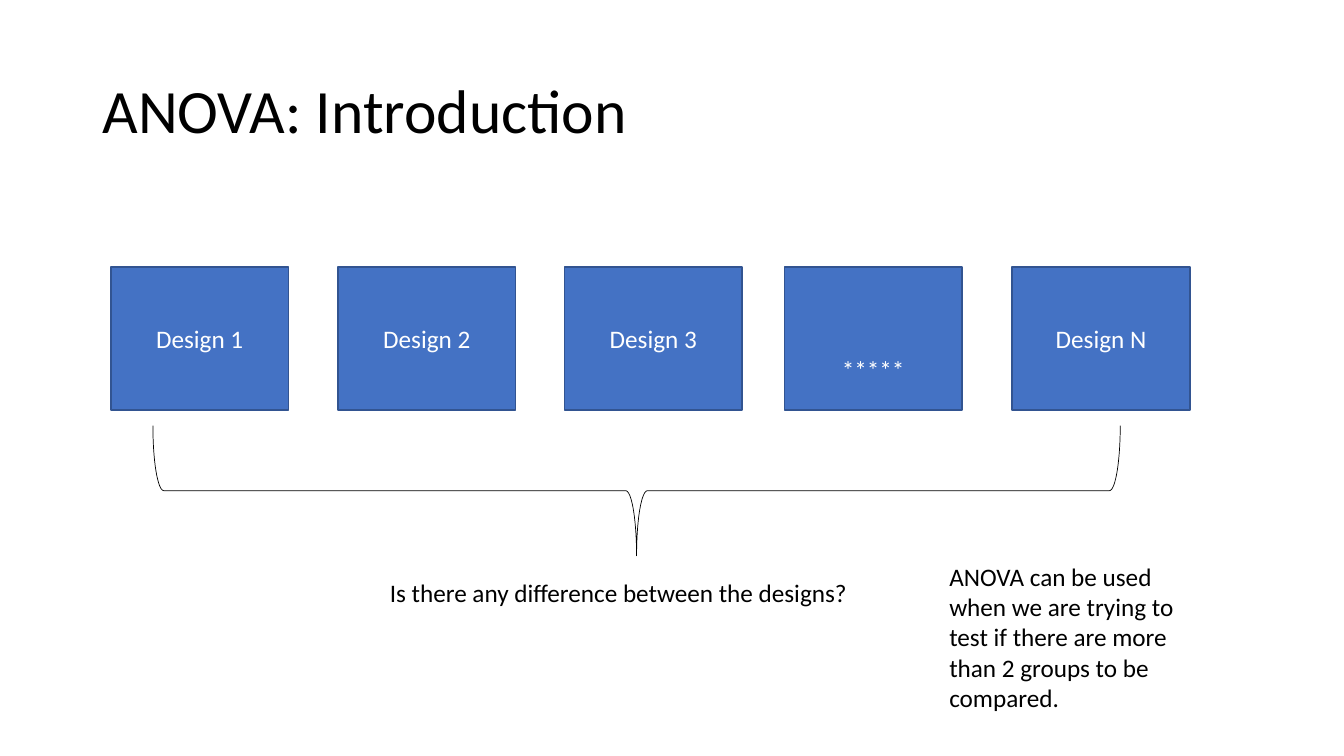
"""Build the ANOVA introduction slide comparing several designs."""
from lxml import etree
from pptx import Presentation
from pptx import util as u
from pptx.dml.color import RGBColor
from pptx.enum import shapes, text

BLACK = RGBColor(0x00, 0x00, 0x00)
WHITE = RGBColor(0xFF, 0xFF, 0xFF)
BLUE = RGBColor(0x44, 0x72, 0xC4)
DARK_BLUE = RGBColor(0x32, 0x54, 0x91)


def write(shape, words, size, color, alignment, anchor):
    frame = shape.text_frame
    frame.word_wrap = True
    frame.auto_size = text.MSO_AUTO_SIZE.NONE
    frame.vertical_anchor = anchor
    paragraph = frame.paragraphs[0]
    paragraph.alignment = alignment
    run = paragraph.add_run()
    run.text = words
    run.font.name = "Calibri"
    run.font.size = u.Pt(size)
    run.font.color.rgb = color
    return paragraph


presentation = Presentation()
presentation.slide_width = u.Pt(960)
presentation.slide_height = u.Pt(540)
slide = presentation.slides.add_slide(presentation.slide_layouts[5])

title = slide.shapes.title
title.left, title.top, title.width, title.height = u.Pt(66), u.Pt(28.8), u.Pt(828), u.Pt(104.4)
heading = write(title, "ANOVA: Introduction", 44, BLACK,
                text.PP_ALIGN.LEFT, text.MSO_ANCHOR.MIDDLE)
heading.line_spacing = 0.9

designs = [
    ("Design 1", 79.2, 3.6),
    ("Design 2", 241.4, 3.6),
    ("Design 3", 403.2, 3.6),
    ("*****", 560.2, 47.5),
    ("Design N", 723, 3.6),
]
for label, left, top_margin in designs:
    box = slide.shapes.add_shape(shapes.MSO_SHAPE.RECTANGLE,
                                 u.Pt(left), u.Pt(190.8), u.Pt(127), u.Pt(102))
    box.shadow.inherit = False
    box.fill.solid()
    box.fill.fore_color.rgb = BLUE
    box.line.color.rgb = DARK_BLUE
    box.line.width = u.Pt(1)
    box.text_frame.margin_top = u.Pt(top_margin)
    write(box, label, 18, WHITE, text.PP_ALIGN.CENTER, text.MSO_ANCHOR.MIDDLE)

brace = slide.shapes.add_shape(shapes.MSO_SHAPE.RIGHT_BRACE,
                               u.Pt(408.2), u.Pt(5), u.Pt(93), u.Pt(691))
brace.rotation = 90
brace.shadow.inherit = False
brace.fill.background()
brace.line.color.rgb = BLACK
brace.line.width = u.Pt(0.5)

notes = [
    ("Is there any difference between the designs?", 271.4, 409, 346.3, 29),
    ("ANOVA can be used when we are trying to test if there are more "
     "than 2 groups to be compared.", 671, 397.4, 197.3, 116.6),
]
for words, left, top, width, height in notes:
    note = slide.shapes.add_textbox(u.Pt(left), u.Pt(top), u.Pt(width), u.Pt(height))
    write(note, words, 18, BLACK, text.PP_ALIGN.LEFT, text.MSO_ANCHOR.TOP)

presentation.save("out.pptx")
